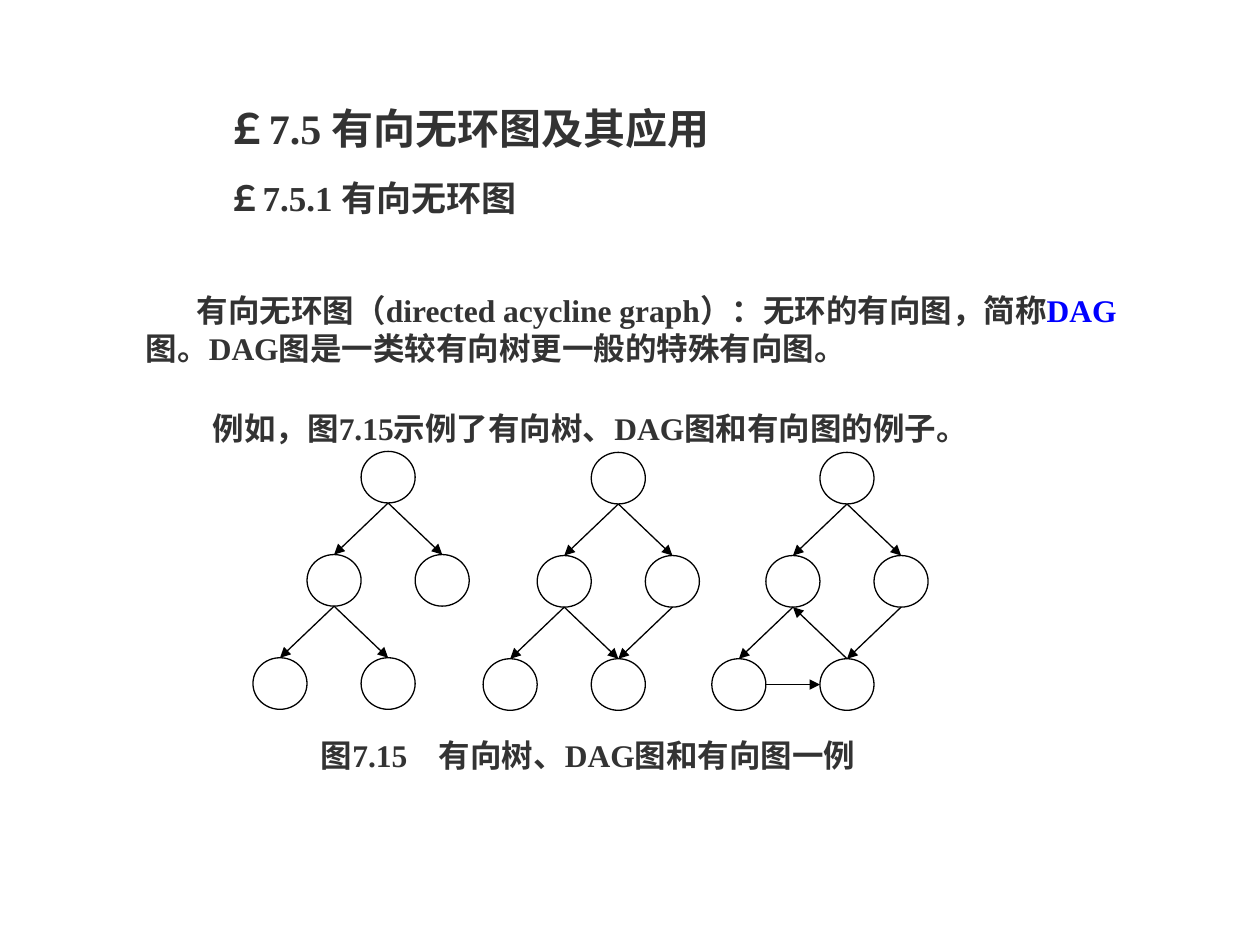
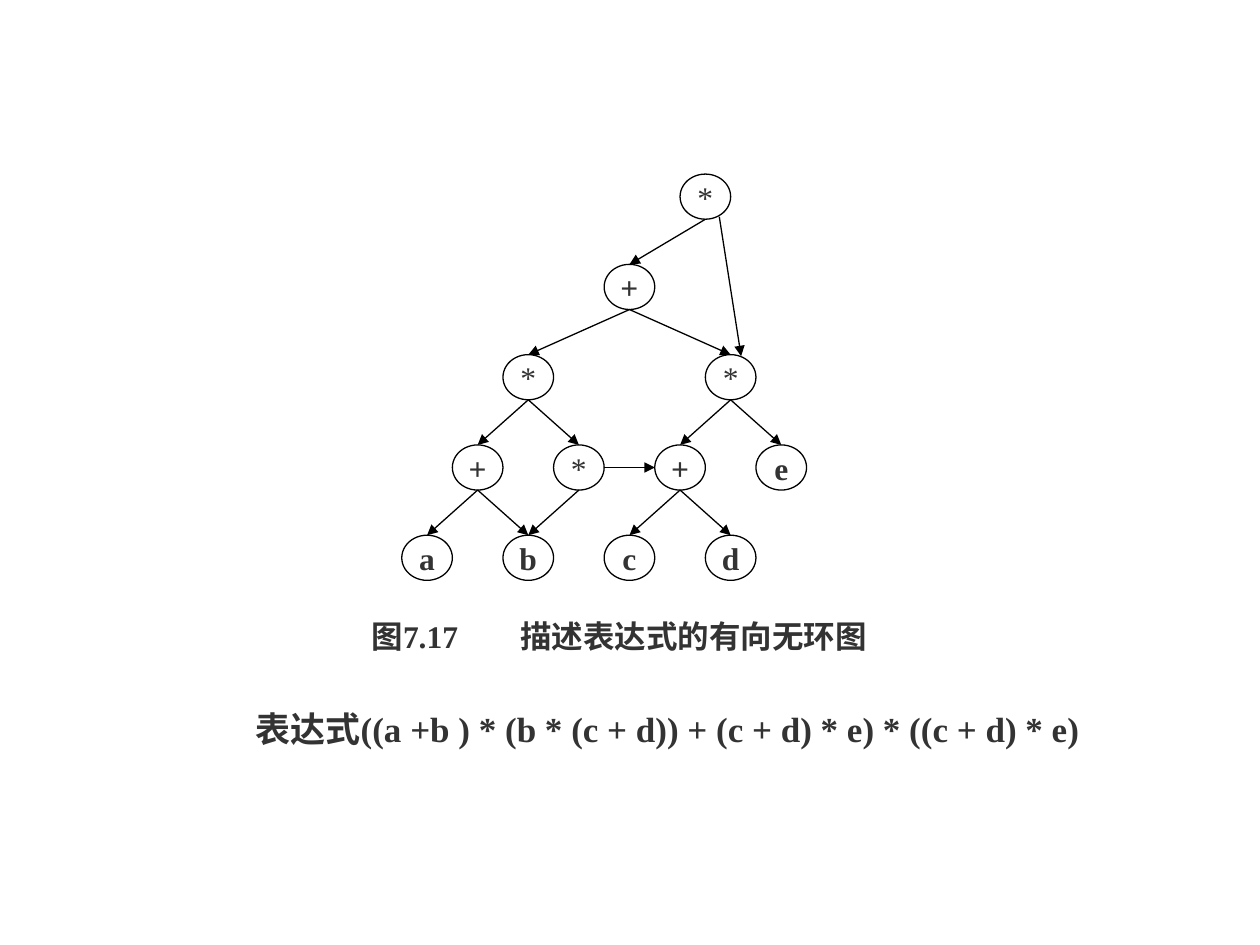
from dataclasses import dataclass

from lxml import etree
from pptx import Presentation
from pptx.dml.color import RGBColor
from pptx.enum.shapes import MSO_CONNECTOR, MSO_SHAPE
from pptx.enum.text import MSO_ANCHOR, MSO_AUTO_SIZE, PP_ALIGN
from pptx.oxml.ns import qn
from pptx.util import Cm, Pt

OVAL = MSO_SHAPE.OVAL
STRAIGHT = MSO_CONNECTOR.STRAIGHT
TOP, MIDDLE = MSO_ANCHOR.TOP, MSO_ANCHOR.MIDDLE
FIT_SHAPE = MSO_AUTO_SIZE.SHAPE_TO_FIT_TEXT
FIXED_SIZE = MSO_AUTO_SIZE.NONE
LEFT, CENTER = PP_ALIGN.LEFT, PP_ALIGN.CENTER


@dataclass(frozen=True)
class Theme:
    font: str = "Times New Roman"
    text: RGBColor = RGBColor(0x33, 0x33, 0x33)
    accent: RGBColor = RGBColor(0x00, 0x00, 0xFF)
    line: RGBColor = RGBColor(0x00, 0x00, 0x00)
    node: RGBColor = RGBColor(0xFF, 0xFF, 0xFF)
    title_size: Pt = Pt(24)
    subtitle_size: Pt = Pt(20)
    body_size: Pt = Pt(18)
    line_width: Pt = Pt(0.75)


theme = Theme()


def write_text(shape, text, size, anchor, align=LEFT, bold=True, wrap=False, tab=None):
    """Fill a shape with text, one paragraph a line, in the shared style."""
    frame = shape.text_frame
    frame.text = text
    frame.word_wrap = wrap
    frame.auto_size = FIT_SHAPE
    frame.vertical_anchor = anchor
    for paragraph in frame.paragraphs:
        paragraph.alignment = align
        if tab:
            tabs = etree.SubElement(paragraph._p.get_or_add_pPr(), qn("a:tabLst"))
            etree.SubElement(tabs, qn("a:tab"), pos=str(tab), algn="l")
        paragraph.font.name = theme.font
        paragraph.font.size = size
        paragraph.font.bold = bold
        paragraph.font.color.rgb = theme.text
    return frame.paragraphs


def add_arrow(shapes, start, end):
    """Draw a straight arrow between two points given in centimetres."""
    arrow = shapes.add_connector(STRAIGHT, *map(Cm, start + end))
    arrow.line.color.rgb = theme.line
    arrow.line.width = theme.line_width
    properties = arrow._element.spPr
    etree.SubElement(properties.find(qn("a:ln")), qn("a:tailEnd"), type="triangle")
    etree.SubElement(properties, qn("a:effectLst"))


presentation = Presentation()
presentation.slide_width, presentation.slide_height = Cm(25.4), Cm(19.05)
definition_slide = presentation.slides.add_slide(presentation.slide_layouts[5])
expression_slide = presentation.slides.add_slide(presentation.slide_layouts[6])

# Title
title = definition_slide.shapes.title
title.left, title.top, title.width, title.height = Cm(4.32), Cm(1.93), Cm(12), Cm(1.27)
write_text(title, "￡7.5 有向无环图及其应用", theme.title_size, MIDDLE)

# Graphs: nodes are name: (column, row, label), edges are (from, to)
binary_nodes = {
    "root": (2, 0, ""),
    "left": (1, 1, ""),
    "right": (3, 1, ""),
    "left leaf": (0, 2, ""),
    "right leaf": (2, 2, ""),
}
root_edges = [("root", "left"), ("root", "right"), ("left", "left leaf")]
tree_edges = root_edges + [("left", "right leaf")]
dag_edges = tree_edges + [("right", "right leaf")]
cyclic_edges = root_edges + [
    ("right leaf", "left"),
    ("right", "right leaf"),
    ("left leaf", "right leaf"),
]

expression_nodes = {
    "root": (5.5, 0, "*"),
    "sum": (4, 1, "+"),
    "left product": (2, 2, "*"),
    "right product": (6, 2, "*"),
    "a+b": (1, 3, "+"),
    "b*(c+d)": (3, 3, "*"),
    "c+d": (5, 3, "+"),
    "e": (7, 3, "e"),
    "a": (0, 4, "a"),
    "b": (2, 4, "b"),
    "c": (4, 4, "c"),
    "d": (6, 4, "d"),
}
expression_edges = [
    ("root", "sum"),
    ("sum", "left product"),
    ("sum", "right product"),
    ("left product", "a+b"),
    ("left product", "b*(c+d)"),
    ("right product", "c+d"),
    ("right product", "e"),
    ("a+b", "a"),
    ("a+b", "b"),
    ("b*(c+d)", "b"),
    ("b*(c+d)", "c+d"),
    ("c+d", "c"),
    ("c+d", "d"),
]

# slide, left, top, column step, row step, nodes, edges
graphs = [
    (definition_slide, 5.1, 9.1, 1.09, 2.08, binary_nodes, tree_edges),
    (definition_slide, 9.74, 9.12, 1.09, 2.08, binary_nodes, dag_edges),
    (definition_slide, 14.35, 9.12, 1.09, 2.08, binary_nodes, cyclic_edges),
    (expression_slide, 8.1, 3.51, 1.02, 1.82, expression_nodes, expression_edges),
]
for slide, left, top, column_step, row_step, nodes, edges in graphs:
    shapes = slide.shapes.add_group_shape().shapes
    width, height = column_step, row_step / 2

    for column, row, label in nodes.values():
        x, y = left + column * column_step, top + row * row_step
        node = shapes.add_shape(OVAL, Cm(x), Cm(y), Cm(width), Cm(height))
        node.shadow.inherit = False
        node.fill.solid()
        node.fill.fore_color.rgb = theme.node
        node.line.color.rgb = theme.line
        node.line.width = theme.line_width
        if label:
            write_text(node, label, theme.body_size, MIDDLE, CENTER, bold=label != "*")
            frame = node.text_frame
            frame.auto_size = FIXED_SIZE
            frame.margin_left = frame.margin_right = 0
            frame.margin_top = frame.margin_bottom = 0

    for start_name, end_name in edges:
        start_column, start_row, _ = nodes[start_name]
        end_column, end_row, _ = nodes[end_name]
        start_x, start_y = left + start_column * column_step, top + start_row * row_step
        end_x, end_y = left + end_column * column_step, top + end_row * row_step
        if start_row == end_row:
            middle = start_y + height / 2
            add_arrow(shapes, (start_x + width, middle), (end_x, middle))
        else:
            downward = start_row < end_row
            add_arrow(
                shapes,
                (start_x + width / 2, start_y + height * downward),
                (end_x + width / 2, end_y + height * (not downward)),
            )

# Second arrow from the root of the expression graph, beside the first
add_arrow(shapes, (14.5, 4.37), (14.94, 7.18))

# Definition, with the abbreviation in colour
definition = definition_slide.shapes.add_textbox(Cm(2.69), Cm(5.74), Cm(21.56), Cm(1.78))
first_line, _ = write_text(
    definition,
    "有向无环图（directed acycline graph）：无环的有向图，简称\n"
    "图。DAG图是一类较有向树更一般的特殊有向图。",
    theme.body_size, MIDDLE, wrap=True,
)
first_line._p.get_or_add_pPr().set("indent", str(Cm(1.03)))
abbreviation = first_line.add_run()
abbreviation.text = "DAG"
abbreviation.font.color.rgb = theme.accent

# Single lines: slide, left, top, width, height, text, size, anchor, tab stop
single_lines = [
    (definition_slide, 4.34, 3.43, 6.83, 1.12, "￡7.5.1 有向无环图",
     theme.subtitle_size, MIDDLE, None),
    (definition_slide, 4.04, 8.13, 16.33, 1.02,
     "例如，图7.15示例了有向树、DAG图和有向图的例子。", theme.body_size, TOP, None),
    (definition_slide, 6.22, 14.71, 11.58, 1.02, "图7.15\t有向树、DAG图和有向图一例",
     theme.body_size, MIDDLE, Cm(2.38)),
    (expression_slide, 7.24, 12.32, 10.49, 1.02, "图7.17\t描述表达式的有向无环图",
     theme.body_size, TOP, Cm(3)),
]
for slide, left, top, width, height, text, size, anchor, tab in single_lines:
    box = slide.shapes.add_textbox(Cm(left), Cm(top), Cm(width), Cm(height))
    write_text(box, text, size, anchor, tab=tab)

# Expression
expression = expression_slide.shapes.add_textbox(Cm(4.9), Cm(13.72), Cm(19.41), Cm(1.52))
(formula,) = write_text(
    expression,
    "表达式((a +b ) * (b * (c + d)) + (c + d) * e) * ((c + d) * e)",
    theme.subtitle_size, TOP, wrap=True,
)
formula.line_spacing = 1.5

presentation.save("out.pptx")
